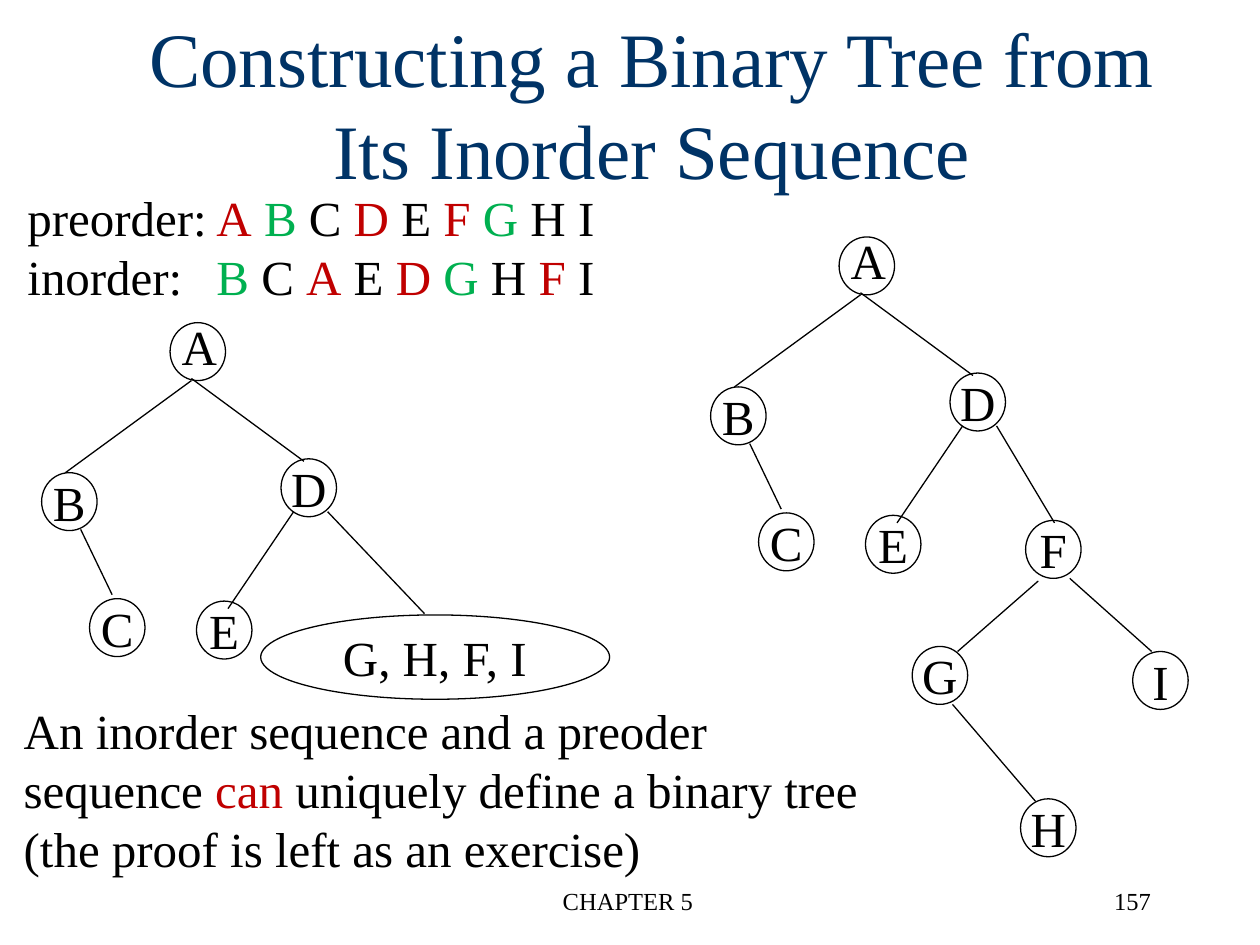
from dataclasses import dataclass

from lxml.etree import SubElement
from pptx import Presentation
from pptx.dml.color import RGBColor
from pptx.enum.shapes import MSO_CONNECTOR, MSO_SHAPE
from pptx.enum.text import MSO_ANCHOR, PP_ALIGN
from pptx.oxml.ns import qn
from pptx.util import Pt


@dataclass(frozen=True)
class Theme:
    font: str = "Times New Roman"
    title_size: int = 44
    body_size: int = 28
    footer_size: int = 14
    title: RGBColor = RGBColor(0x00, 0x33, 0x66)
    ink: RGBColor = RGBColor(0x00, 0x00, 0x00)
    red: RGBColor = RGBColor(0xC0, 0x00, 0x00)
    green: RGBColor = RGBColor(0x00, 0xB0, 0x50)


theme = Theme()


def write_runs(shape, pieces, size=theme.body_size, align=PP_ALIGN.LEFT, wrap=False):
    shape.text_frame.word_wrap = wrap
    paragraph = shape.text_frame.paragraphs[0]
    paragraph.alignment = align
    for text, color in pieces:
        if text == "\n":
            paragraph.add_line_break()
            continue
        run = paragraph.add_run()
        run.text = text
        run.font.name = theme.font
        run.font.size = Pt(size)
        run.font.color.rgb = color


def add_ellipse(shapes, left, top, width, height):
    ellipse = shapes.add_shape(MSO_SHAPE.OVAL, Pt(left), Pt(top), Pt(width), Pt(height))
    ellipse.shadow.inherit = False
    ellipse.fill.background()
    ellipse.line.color.rgb = theme.ink
    ellipse.line.width = Pt(0.75)
    return ellipse


presentation = Presentation()
presentation.slide_width = Pt(720)
presentation.slide_height = Pt(540)
slide = presentation.slides.add_slide(presentation.slide_layouts[5])

title = slide.shapes.title
title.left, title.top, title.width, title.height = Pt(52.6), Pt(2.2), Pt(640), Pt(90)
title.text_frame.vertical_anchor = MSO_ANCHOR.TOP
write_runs(title, [("Constructing a Binary Tree from Its Inorder Sequence", theme.title)],
           theme.title_size, PP_ALIGN.CENTER, True)

letter_colors = {**dict.fromkeys("ADF", theme.red), **dict.fromkeys("BG", theme.green)}
sequence_pieces = []
for label, sequence in [("preorder:\t", "A B C D E F G H I"), ("inorder:\t", "B C A E D G H F I")]:
    if sequence_pieces:
        sequence_pieces.append(("\n", theme.ink))
    sequence_pieces.append((label, theme.ink))
    sequence_pieces += [(letter, letter_colors.get(letter, theme.ink)) for letter in sequence]

conclusion_pieces = [
    ("An inorder sequence and a preoder sequence ", theme.ink),
    ("can", theme.red),
    (" uniquely define a binary tree (the proof is left as an exercise)", theme.ink),
]

text_boxes = [
    (8.6, 103.7, 375, 74, sequence_pieces, theme.body_size, PP_ALIGN.LEFT, False),
    (6.5, 396.7, 504, 109, conclusion_pieces, theme.body_size, PP_ALIGN.LEFT, True),
    (244.8, 502.6, 228, 36, [("CHAPTER 5", theme.ink)], theme.footer_size, PP_ALIGN.CENTER, True),
    (514.8, 502.6, 150, 36, [("157", theme.ink)], theme.footer_size, PP_ALIGN.RIGHT, True),
]
for left, top, width, height, pieces, size, align, wrap in text_boxes:
    box = slide.shapes.add_textbox(Pt(left), Pt(top), Pt(width), Pt(height))
    write_runs(box, pieces, size, align, wrap)

shared_nodes = {"B": (-73.4, 85.7), "C": (-46, 157.7), "D": (63.4, 77.8), "E": (15.1, 159.1)}
lower_nodes = {"F": (106.6, 162), "G": (41.8, 234), "I": (167.8, 236.9), "H": (103.7, 321.1)}
shared_edges = [
    (12.2, 33.1, -59.8, 85.7),
    (12.2, 31.9, 76.5, 79.2),
    (-51.1, 118.1, -33.1, 155.5),
    (70.6, 108, 33.1, 163.4),
]
lower_edges = [
    (90, 108, 123.1, 163.4),
    (113.8, 196.6, 67.7, 236.9),
    (131.8, 195.1, 178.6, 236.9),
    (64.8, 267.1, 112.3, 322.6),
]
pending_edge = (90, 108, 145.4, 166.3)
root_label = ("A", -0.7, -7.2, 34.6)
pending_label = ("G, H, F, I", 90.7, 170.6, 121)
node_size = (31.7, 33.1)

trees = [
    (479.5, 135.4, shared_nodes | lower_nodes, shared_edges + lower_edges, [root_label], []),
    (97.2, 184.4, shared_nodes, shared_edges + [pending_edge],
     [root_label, pending_label], [(51.8, 167, 199.4, 48.2)]),
]
for root_left, root_top, nodes, edges, labels, pending_sets in trees:
    shapes = slide.shapes.add_group_shape().shapes
    for left, top, width, height in [(0, 0, *node_size)] + pending_sets:
        add_ellipse(shapes, root_left + left, root_top + top, width, height)
    for text, left, top, width in labels:
        box = shapes.add_textbox(Pt(root_left + left), Pt(root_top + top), Pt(width), Pt(41))
        write_runs(box, [(text, theme.ink)], align=PP_ALIGN.CENTER)
    for letter, (left, top) in nodes.items():
        node = add_ellipse(shapes, root_left + left, root_top + top, *node_size)
        node.text_frame.vertical_anchor = MSO_ANCHOR.MIDDLE
        write_runs(node, [(letter, theme.ink)], align=PP_ALIGN.CENTER)
    for start_x, start_y, end_x, end_y in edges:
        edge = shapes.add_connector(
            MSO_CONNECTOR.STRAIGHT, Pt(root_left + start_x), Pt(root_top + start_y),
            Pt(root_left + end_x), Pt(root_top + end_y))
        edge.line.color.rgb = theme.ink
        edge.line.width = Pt(0.75)
        SubElement(edge._element.spPr, qn("a:effectLst"))

presentation.save("out.pptx")
